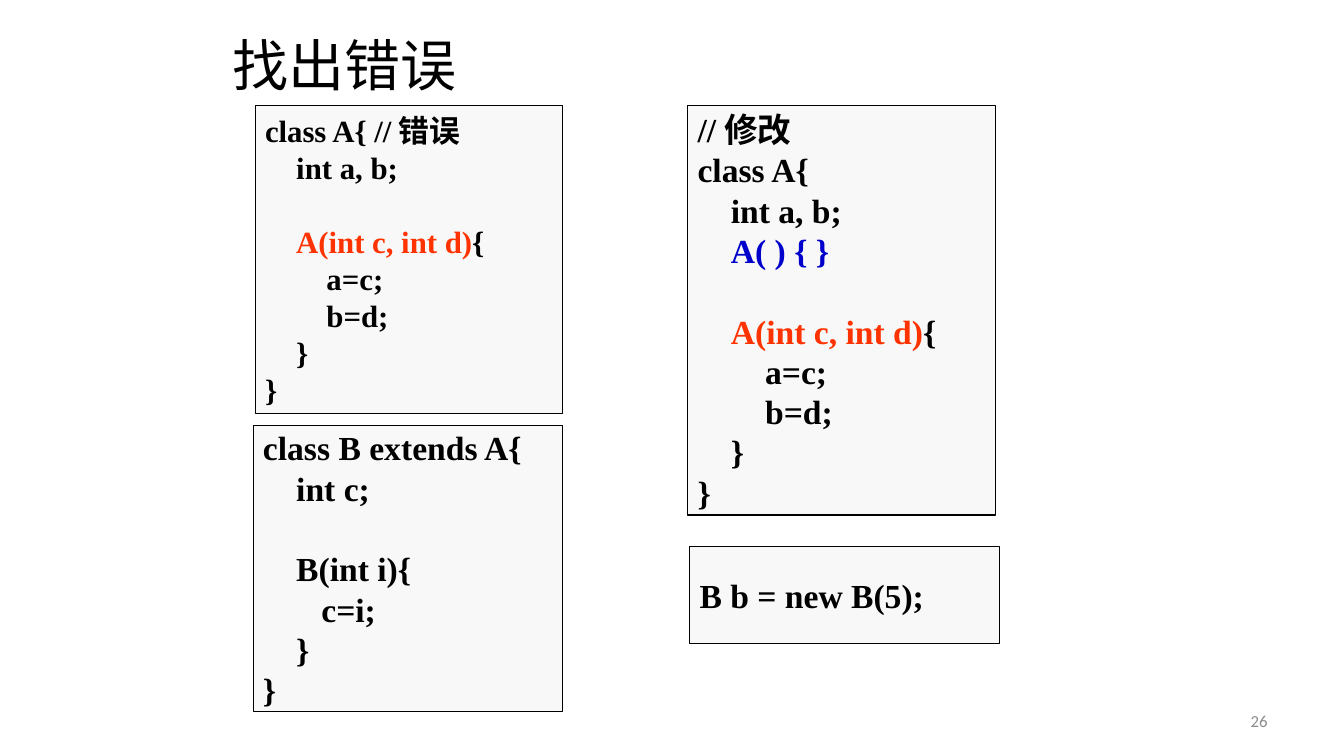
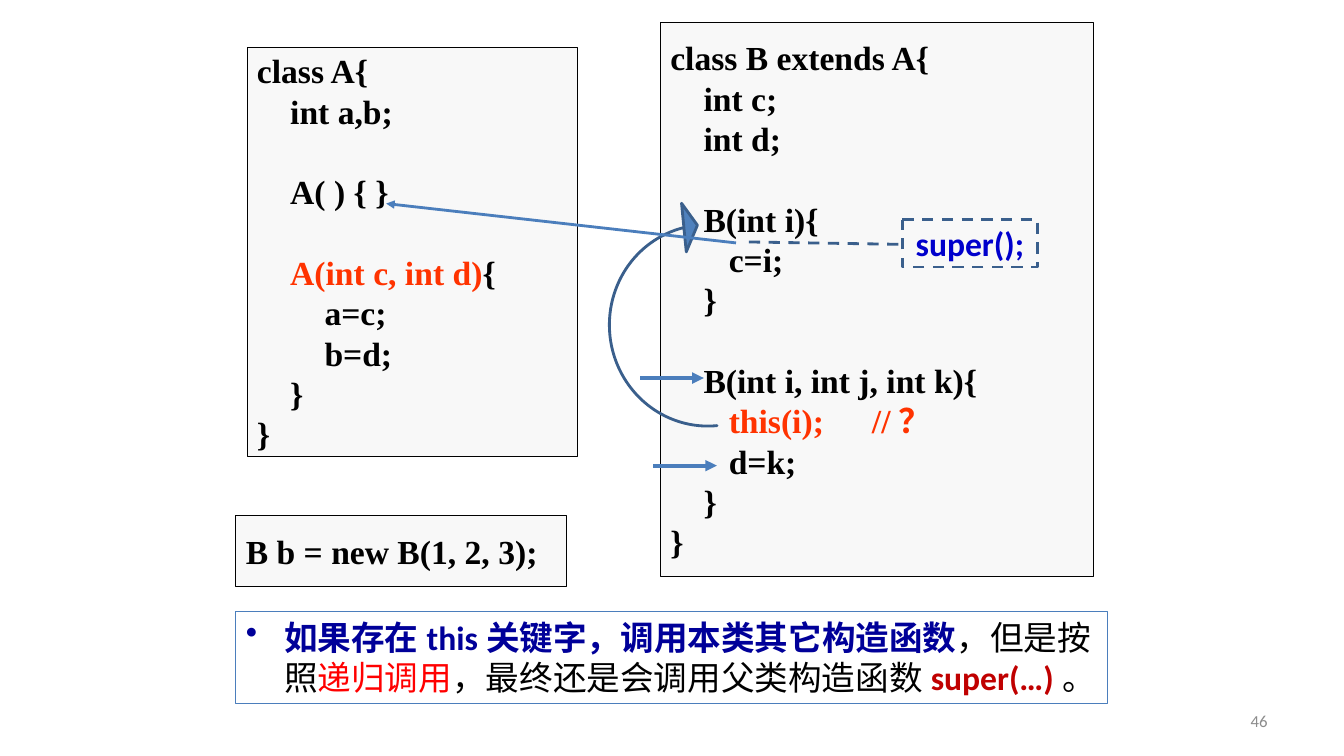
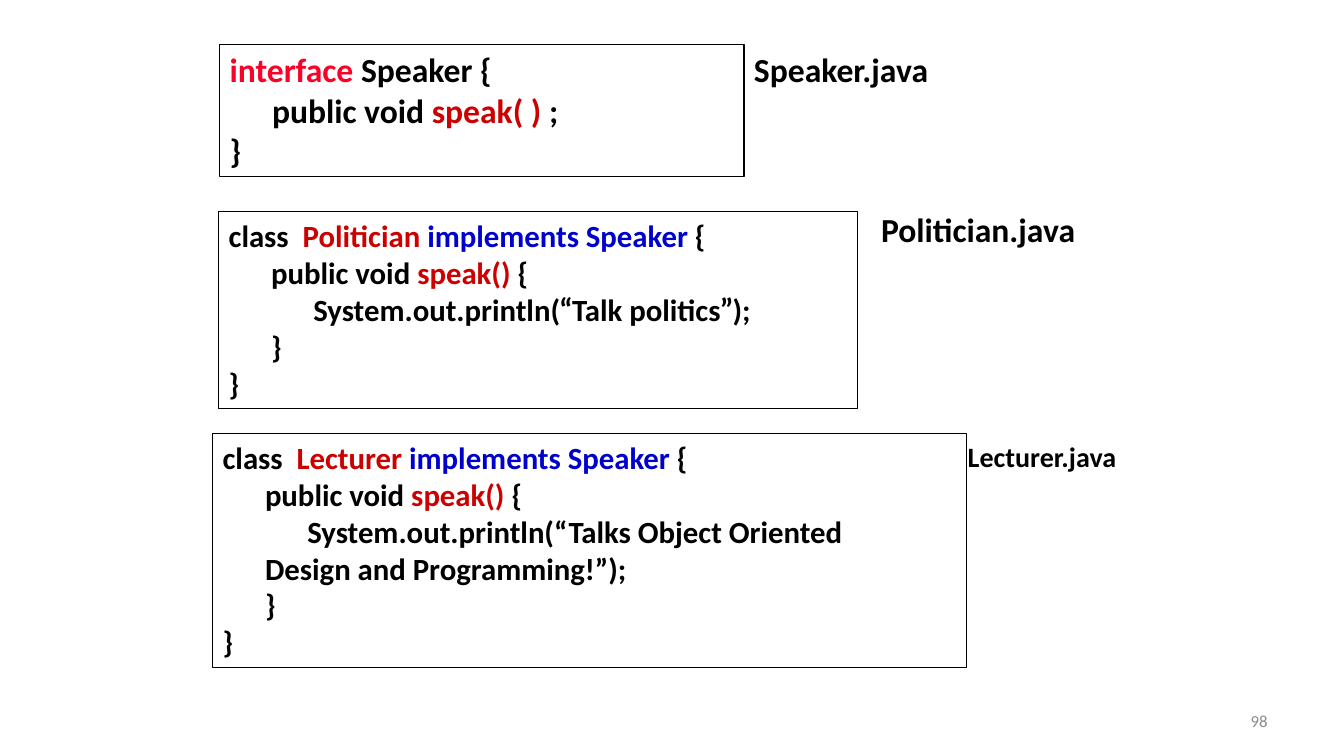
from dataclasses import dataclass
from typing import NamedTuple, Optional

from lxml import etree
from pptx import Presentation
from pptx.dml import color as dml
from pptx.enum import dml as lines, shapes, text
from pptx.oxml import ns
from pptx.util import Inches, Pt

COLORS = {
    "black": "000000", "panel": "F8F8F8", "number": "8C8C8C",
    "orange": "FF3300", "blue": "0000CC", "navy": "000099",
    "red": "FF0000", "dark_red": "C00000", "crimson": "CC0000",
    "keyword": "FC0128", "arrow": "4B7EBC", "accent": "4F81BD",
    "outline": "3A5F8C",
}
SERIF, SANS, CJK, LATO = "Times New Roman", "Calibri", "Noto Sans CJK JP", "Lato"
LEADING = 1.2
TITLE_ONLY, BLANK = 5, 6
MIDDLE, TOP = text.MSO_ANCHOR.MIDDLE, text.MSO_ANCHOR.TOP
LEFT, CENTER, RIGHT = text.PP_ALIGN.LEFT, text.PP_ALIGN.CENTER, text.PP_ALIGN.RIGHT


class Run(NamedTuple):
    text: str
    color: str = "black"
    font: Optional[str] = None
    bold: bool = True


class Line(NamedTuple):
    runs: tuple
    gap: bool = False


class Style(NamedTuple):
    font: str = SANS
    size: float = 24
    anchor: text.MSO_ANCHOR = TOP
    align: text.PP_ALIGN = LEFT
    stops: tuple = ()


@dataclass
class Box:
    at: tuple
    lines: list
    style: Style
    fill: Optional[str] = None
    line: Optional[str] = "black"


class Arrow(NamedTuple):
    start: tuple
    end: tuple
    width: float


CODE = Style(SERIF, 24, MIDDLE, stops=(0.33, 0.58, 2))
BODY = CODE._replace(stops=(0.33, 0.67))
SMALL_BODY = CODE._replace(size=22, stops=(0.31, 0.61))
JAVA = Style(stops=(0.42, 0.84))
SMALL_JAVA = JAVA._replace(size=22)


def ln(*parts, gap: bool = False) -> Line:
    return Line(tuple(Run(p) if isinstance(p, str) else p for p in parts), gap)


def rgb(name: str) -> dml.RGBColor:
    return dml.RGBColor.from_string(COLORS[name])


def add(parent, tag: str, **attrs):
    e = etree.SubElement(parent, ns.qn(tag))
    for key, value in attrs.items():
        e.set(key, str(value))
    return e


def set_all(target, values: dict) -> None:
    for key, value in values.items():
        setattr(target, key, value)


def add_run(p, run: Run, style: Style) -> None:
    r = p.add_run()
    r.text = run.text
    set_all(r.font, {"name": run.font or style.font, "size": Pt(style.size),
                     "bold": run.bold})
    r.font.color.rgb = rgb(run.color)


def write(tf, content: list, style: Style) -> None:
    set_all(tf, {"word_wrap": True, "vertical_anchor": style.anchor})
    pitch = Pt(style.size * LEADING)
    for i, line in enumerate(content):
        p = tf.add_paragraph() if i else tf.paragraphs[0]
        set_all(p, {"alignment": style.align, "line_spacing": pitch,
                    "space_before": pitch if line.gap else Pt(0)})
        if style.stops:
            tabs = add(p._p.get_or_add_pPr(), "a:tabLst")
            for stop in style.stops:
                add(tabs, "a:tab", pos=Inches(stop), algn="l")
        for run in line.runs:
            add_run(p, run, style)


def paint(sp, fill: Optional[str], line: Optional[str], width: float = 0.75) -> None:
    sp.shadow.inherit = False
    for part, name in ((sp.fill, fill), (sp.line.fill, line)):
        if name:
            part.solid()
            part.fore_color.rgb = rgb(name)
        else:
            part.background()
    if line:
        sp.line.width = Pt(width)


def add_shape(s, kind, at: tuple):
    return s.shapes.add_shape(kind, *map(Inches, at))


def add_box(s, box: Box):
    sp = add_shape(s, shapes.MSO_SHAPE.RECTANGLE, box.at)
    paint(sp, box.fill, box.line)
    write(sp.text_frame, box.lines, box.style)
    return sp


def add_code(s, at: tuple, content: list, style: Style = BODY):
    return add_box(s, Box(at, content, style, "panel"))


def add_label(s, at: tuple, line: Line, style: Style) -> None:
    sp = s.shapes.add_textbox(*map(Inches, at))
    write(sp.text_frame, [line], style)


def add_arrow(s, arrow: Arrow) -> None:
    c = s.shapes.add_connector(shapes.MSO_CONNECTOR.STRAIGHT,
                               *map(Inches, arrow.start + arrow.end))
    c.line.color.rgb = rgb("arrow")
    c.line.width = Pt(arrow.width)
    add(c.line._get_or_add_ln(), "a:tailEnd", type="triangle")
    add(c._element.spPr, "a:effectLst")


def new_slide(prs, layout: int, number: int):
    s = prs.slides.add_slide(prs.slide_layouts[layout])
    add_label(s, (9.56, 6.95, 3.11, 0.4), ln(Run(str(number), "number", bold=False)),
              Style(size=12, anchor=MIDDLE, align=RIGHT))
    return s


def constructor_body() -> list:
    return [ln("\t", Run("A(int c, int d)", "orange"), "{", gap=True),
            ln("\t\ta=c;"), ln("\t\tb=d;"), ln("\t}"), ln("}")]


def find_error(prs) -> None:
    s = new_slide(prs, TITLE_ONLY, 26)
    title = s.shapes.title
    set_all(title, dict(zip(("left", "top", "width", "height"),
                            map(Inches, (2.21, 0.23, 7.7, 0.81)))))
    tf = title.text_frame
    tf.vertical_anchor = MIDDLE
    p = tf.paragraphs[0]
    p.alignment = LEFT
    add_run(p, Run("找出错误", bold=False), Style(SERIF, 40))

    add_code(s, (2.53, 1.05, 3.05, 3.05),
             [ln("class A{ //错误"), ln("\tint a, b;")] + constructor_body(), SMALL_BODY)
    add_code(s, (2.51, 4.22, 3.07, 2.84),
             [ln("class B extends A{"), ln("\tint c;"), ln("\tB(int i){", gap=True),
              ln("\t\tc=i;"), ln("\t}"), ln("}")], CODE)
    add_code(s, (6.82, 1.05, 3.05, 4.06),
             [ln("//修改"), ln("class A{"), ln("\tint a, b;"),
              ln(Run("\tA( ) { }", "blue"))] + constructor_body())
    add_code(s, (6.84, 5.42, 3.07, 0.96), [ln("B b = new B(5);")])


def this_call(prs) -> None:
    s = new_slide(prs, BLANK, 46)
    add_code(s, (2.45, 0.47, 3.28, 4.06),
             [ln("class A{"), ln("\tint a,b;"), ln("\tA( ) { }", gap=True)]
             + constructor_body())
    add_code(s, (6.55, 0.22, 4.3, 5.5),
             [ln("class B extends A{"), ln("\tint c;"), ln("\tint d;"),
              ln("\tB(int i){", gap=True), ln("\t\tc=i;"), ln("\t}"),
              ln("\tB(int i, int j, int k){", gap=True),
              ln(Run("\t\tthis(i);\t//？", "orange")),
              ln("\t\td=k;"), ln("\t}"), ln("}")], CODE)

    note = add_box(s, Box((2.34, 6.07, 8.64, 0.91), [ln(
        Run("如果存在this关键字，调用本类其它构造函数", "navy"),
        Run("，但是按照", bold=False),
        Run("递归调用", "red", CJK, False),
        Run("，最终还是会调用父类构造函数", bold=False),
        Run("super(…)", "dark_red"),
        Run("。", bold=False))], Style(), line="arrow"))
    pPr = note.text_frame.paragraphs[0]._p.get_or_add_pPr()
    pPr.set("marL", str(Inches(0.38)))
    pPr.set("indent", str(Inches(-0.38)))
    add(pPr, "a:buChar", char="•")

    curve = add_shape(s, shapes.MSO_SHAPE.CURVED_UP_ARROW, (5.4, 2.67, 2.24, 0.97))
    curve.rotation = 84.4
    curve._element.spPr.xfrm.set("flipH", "1")
    paint(curve, "accent", "outline", 2)
    callout = add_shape(s, shapes.MSO_SHAPE.LINE_CALLOUT_1, (8.95, 2.18, 1.34, 0.47))
    paint(callout, None, "outline", 2)
    callout.line.dash_style = lines.MSO_LINE.DASH
    write(callout.text_frame, [ln(Run("super();", "blue"))],
          Style(anchor=MIDDLE, align=CENTER))
    for sp, values in ((curve, (0, 0.5, 0.14)), (callout, (0.52, -0.03, 0.47, -1.14))):
        for i, value in enumerate(values):
            sp.adjustments[i] = value

    add_code(s, (2.34, 5.11, 3.28, 0.71), [ln("B b = new B(1, 2, 3);")])
    for arrow in (Arrow((6.35, 3.75), (6.98, 3.75), 2.75),
                  Arrow((7.3, 2.41), (3.83, 2.02), 2),
                  Arrow((6.48, 4.62), (7.11, 4.62), 2.75)):
        add_arrow(s, arrow)


def speaker_class(name: str, *body: Line) -> list:
    return [ln("class  ", Run(name + " ", "crimson"),
               Run("implements Speaker", "blue"), " {"),
            ln("\tpublic void ", Run("speak() ", "crimson"), "{"),
            *body, ln("\t}"), ln("}")]


def speakers(prs) -> None:
    s = new_slide(prs, BLANK, 98)
    boxes = [
        Box((2.11, 4.3, 7.48, 2.32), speaker_class(
            "Lecturer", ln("\t\tSystem.out.println(“Talks Object Oriented"),
            ln("\tDesign and Programming!”);")), SMALL_JAVA),
        Box((2.18, 0.44, 5.2, 1.31), [
            ln(Run("interface", "keyword"), " Speaker {"),
            ln("\tpublic void ", Run("speak( ) ", "crimson"), ";"), ln("}")], JAVA),
        Box((2.17, 2.1, 6.34, 1.95), speaker_class(
            "Politician", ln("\t\tSystem.out.println(", Run("“", font=LATO),
                             "Talk politics", Run("”", font=LATO), ");")), SMALL_JAVA),
    ]
    for box in boxes:
        add_box(s, box)
    for name, at, size in (("Speaker.java", (7.38, 0.44, 2.84, 0.5), 24),
                           ("Politician.java", (8.64, 2.02, 2.64, 0.5), 24),
                           ("Lecturer.java", (9.5, 4.31, 1.97, 0.44), 20)):
        add_label(s, at, ln(name), Style(size=size))


def main() -> None:
    prs = Presentation()
    set_all(prs, {"slide_width": Inches(13.33), "slide_height": Inches(7.5)})
    for build in (find_error, this_call, speakers):
        build(prs)
    prs.save("out.pptx")


if __name__ == "__main__":
    main()
